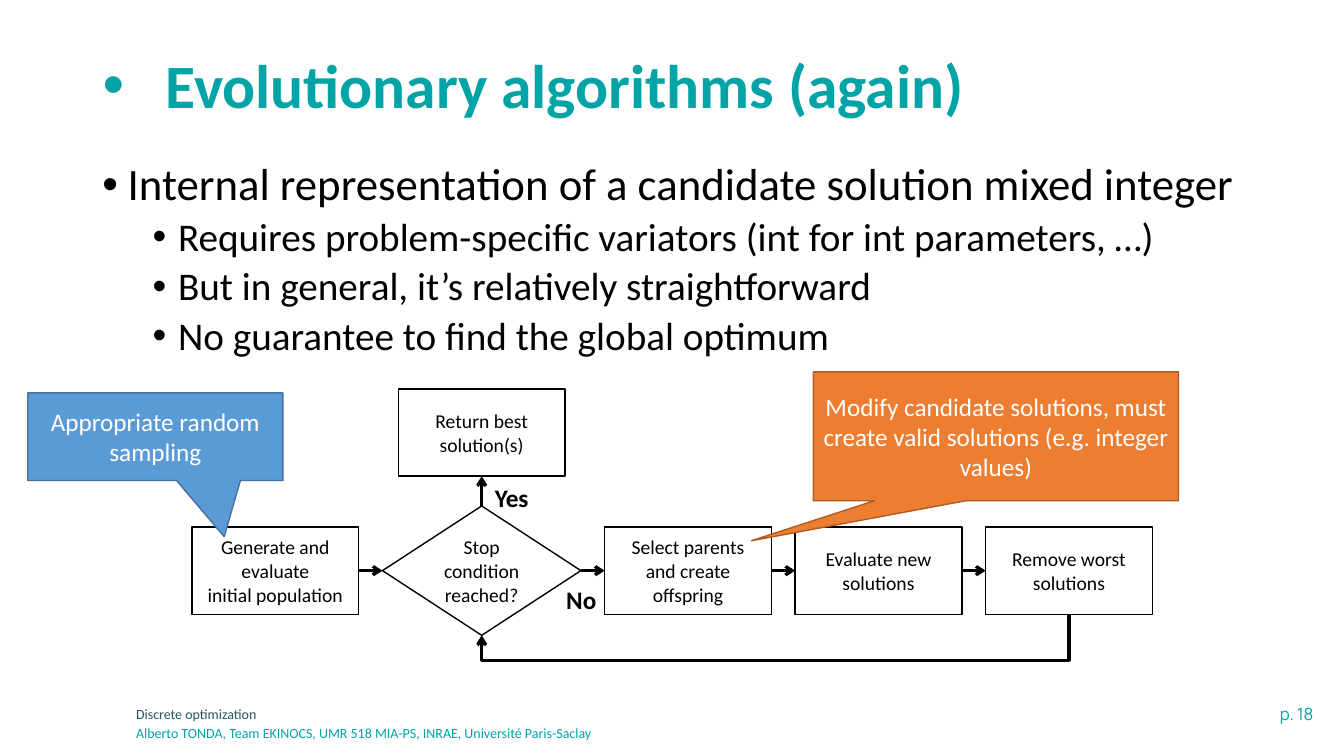
from lxml.etree import SubElement
from pptx import Presentation
from pptx.dml.color import RGBColor
from pptx.enum.shapes import MSO_CONNECTOR as CONN, MSO_SHAPE as SHAPE
from pptx.enum.text import MSO_ANCHOR as ANCHOR, PP_ALIGN as ALIGN
from pptx.oxml.ns import qn
from pptx.util import Cm, Pt

TEAL, BLACK, WHITE = "00A3A6", "000000", "FFFFFF"

TITLE = "Evolutionary algorithms (again)"
BULLETS = [
    (0, "Internal representation of a candidate solution mixed integer"),
    (1, "Requires problem-specific variators (int for int parameters, …)"),
    (1, "But in general, it’s relatively straightforward"),
    (1, "No guarantee to find the global optimum"),
]
# indent in cm, size and space before in points
LEVELS = [(0.64, 32, 10), (1.91, 28, 5)]
FLOW = [
    (SHAPE.FLOWCHART_PROCESS, "Generate and evaluate\ninitial population"),
    (SHAPE.FLOWCHART_DECISION, "Stop condition reached?"),
    (SHAPE.FLOWCHART_PROCESS, "Select parents and create offspring"),
    (SHAPE.FLOWCHART_PROCESS, "Evaluate new solutions"),
    (SHAPE.FLOWCHART_PROCESS, "Remove worst solutions"),
]
RESULT = "Return best solution(s)"
# text, box in cm, size, colour, bold, alignment, font
LABELS = [
    ("p. 18", (27.56, 17.6, 5.79, 0.76), 12, TEAL, False, ALIGN.RIGHT, "Manrope"),
    ("Discrete optimization", (3.18, 17.65, 18.64, 0.7), 10, "275662", False,
     ALIGN.LEFT, "Calibri"),
    ("Alberto TONDA, Team EKINOCS, UMR 518 MIA-PS, INRAE, Université Paris-Saclay",
     (3.18, 18.14, 18.64, 0.7), 10, TEAL, False, ALIGN.LEFT, "Calibri"),
    ("Yes", (12.22, 12.02, 1.4, 1.02), 18, BLACK, True, ALIGN.LEFT, "Calibri"),
    ("No", (14.02, 14.59, 1.4, 1.02), 18, BLACK, True, ALIGN.LEFT, "Calibri"),
]
# text, box in cm, pointer tip, fill, line
CALLOUTS = [
    ("Modify candidate solutions, must create valid solutions (e.g. integer values)",
     (20.5, 9.37, 9.2, 3.25), (-0.67, 0.81), "ED7D31", "AF5C24"),
    ("Appropriate random sampling",
     (0.7, 9.9, 6.43, 2.21), (0.27, 1.14), "5B9BD5", "43739E"),
]
FLOW_LEFT, FLOW_MID, GAP = 4.84, 14.38, 0.6
SIZES = {SHAPE.FLOWCHART_PROCESS: (4.2, 2.2), SHAPE.FLOWCHART_DECISION: (5, 3.26)}
RESULT_TOP, LOOP_Y = 9.8, 16.64


def rgb(value):
    return RGBColor.from_string(value)


def cm(values):
    return [Cm(v) for v in values]


def write(sp, text, size, color, bold=False, align=ALIGN.LEFT, font="Calibri"):
    tf = sp.text_frame
    tf.word_wrap = True
    tf.text = text
    for p in tf.paragraphs:
        p.alignment = align
        for r in p.runs:
            style(r, size, color, bold, font)


def style(r, size, color, bold=False, font="Calibri"):
    r.font.size, r.font.bold, r.font.name = Pt(size), bold, font
    r.font.color.rgb = rgb(color)


def add_bullet(p, indent, hanging):
    """Bullet and hanging indent, both lengths in cm."""
    pPr = p._p.get_or_add_pPr()
    pPr.set("marL", str(Cm(indent)))
    pPr.set("indent", str(-Cm(hanging)))
    SubElement(pPr, qn("a:buFont")).set("typeface", "Arial")
    SubElement(pPr, qn("a:buChar")).set("char", "•")
    p.line_spacing = 0.9


def add_box(slide, kind, box, text, size, color, fill, line):
    sp = slide.shapes.add_shape(kind, *cm(box))
    sp.shadow.inherit = False
    sp.fill.solid()
    sp.fill.fore_color.rgb = rgb(fill)
    sp.line.color.rgb = rgb(line)
    sp.line.width = Pt(1)
    sp.text_frame.vertical_anchor = ANCHOR.MIDDLE
    write(sp, text, size, color, align=ALIGN.CENTER)
    return sp


def add_arrow(slide, start, end, kind=CONN.STRAIGHT):
    cn = slide.shapes.add_connector(kind, *cm(start + end))
    cn.line.color.rgb = rgb(BLACK)
    cn.line.width = Pt(2.25)
    SubElement(cn.line._get_or_add_ln(), qn("a:tailEnd")).set("type", "arrow")
    SubElement(cn._element.spPr, qn("a:effectLst"))
    return cn


def add_loop(slide, start, end, low):
    """Elbow arrow that leaves downwards, runs left at low and rises to end."""
    width, height = end[1] - start[1], start[0] - end[0]
    left = (start[0] + end[0] - width) / 2
    top = (start[1] + end[1] - height) / 2
    cn = add_arrow(slide, (left, top), (left + width, top + height), CONN.ELBOW)
    spPr = cn._element.spPr
    spPr.find(qn("a:xfrm")).set("rot", str(90 * 60000))
    gd = SubElement(spPr.find(qn("a:prstGeom")).find(qn("a:avLst")), qn("a:gd"))
    gd.set("name", "adj1")
    gd.set("fmla", f"val {round((low - start[1]) / width * 100000)}")


def add_flowchart(slide):
    boxes, left = [], FLOW_LEFT
    for kind, text in FLOW:
        w, h = SIZES[kind]
        boxes.append((left, FLOW_MID - h / 2, w, h))
        add_box(slide, kind, boxes[-1], text, 14, BLACK, WHITE, BLACK)
        left += w + GAP
    for a, b in zip(boxes, boxes[1:]):
        add_arrow(slide, (a[0] + a[2], FLOW_MID), (b[0], FLOW_MID))

    stop, last = boxes[1], boxes[-1]
    stop_x = stop[0] + stop[2] / 2
    w, h = SIZES[SHAPE.FLOWCHART_PROCESS]
    add_box(slide, SHAPE.FLOWCHART_PROCESS, (stop_x - w / 2, RESULT_TOP, w, h),
            RESULT, 14, BLACK, WHITE, BLACK)
    add_arrow(slide, (stop_x, stop[1]), (stop_x, RESULT_TOP + h))
    add_loop(slide, (last[0] + w / 2, last[1] + h), (stop_x, stop[1] + stop[3]), LOOP_Y)


def main():
    prs = Presentation()
    prs.slide_width, prs.slide_height = Cm(33.87), Cm(19.05)
    slide = prs.slides.add_slide(prs.slide_layouts[5])

    title = slide.shapes.title
    title.left, title.top, title.width, title.height = cm((2.33, 1.02, 29.21, 2.4))
    title.text_frame.vertical_anchor = ANCHOR.MIDDLE
    write(title, TITLE, 44, TEAL, bold=True)
    add_bullet(title.text_frame.paragraphs[0], 1.59, 1.59)

    body = slide.shapes.add_textbox(*cm((2.33, 3.96, 29.21, 5.3)))
    tf = body.text_frame
    tf.word_wrap = True
    for i, (level, text) in enumerate(BULLETS):
        indent, size, before = LEVELS[level]
        p = tf.add_paragraph() if i else tf.paragraphs[0]
        p.text = text
        p.level = level
        add_bullet(p, indent, 0.64)
        if i:
            p.space_before = Pt(before)
        style(p.runs[0], size, BLACK)

    add_flowchart(slide)
    for text, box, *look in LABELS:
        write(slide.shapes.add_textbox(*cm(box)), text, *look)
    for text, box, tip, fill, line in CALLOUTS:
        sp = add_box(slide, SHAPE.RECTANGULAR_CALLOUT, box, text, 18, WHITE, fill, line)
        sp.adjustments[0], sp.adjustments[1] = tip

    prs.save("out.pptx")


if __name__ == "__main__":
    main()
